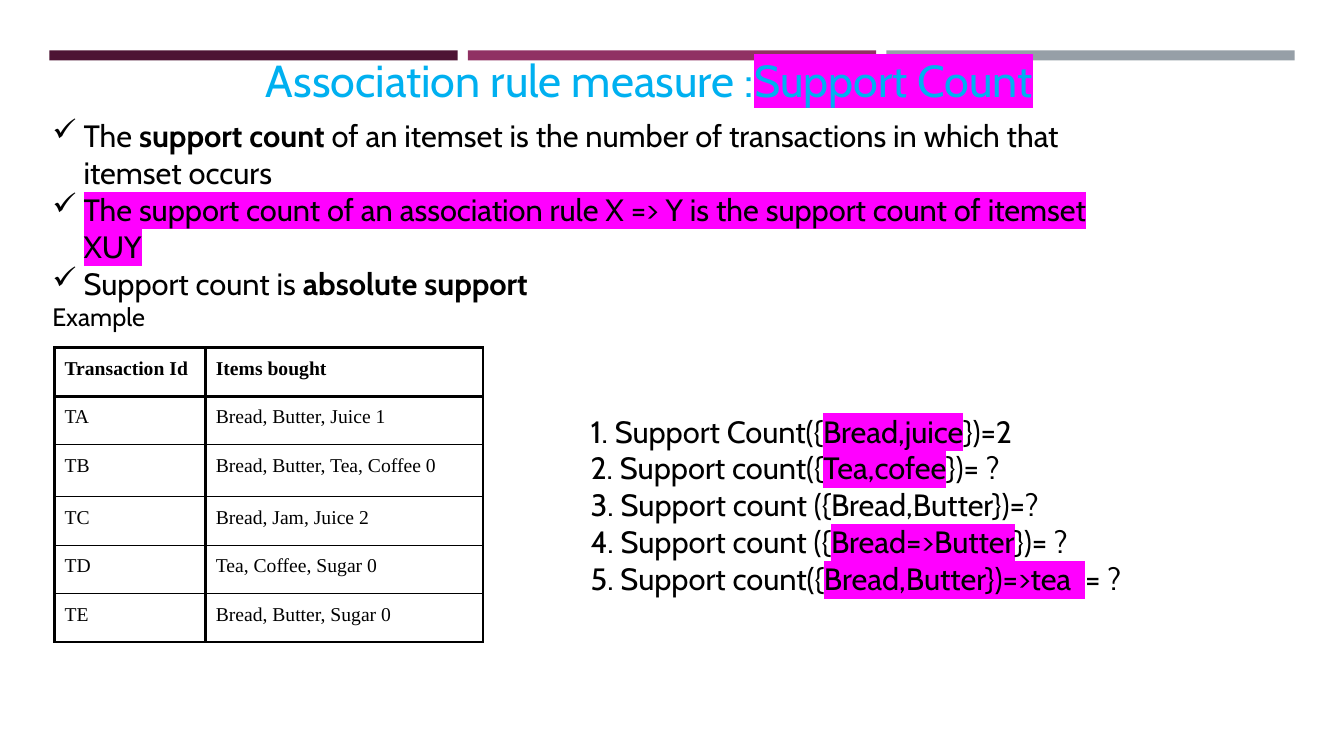
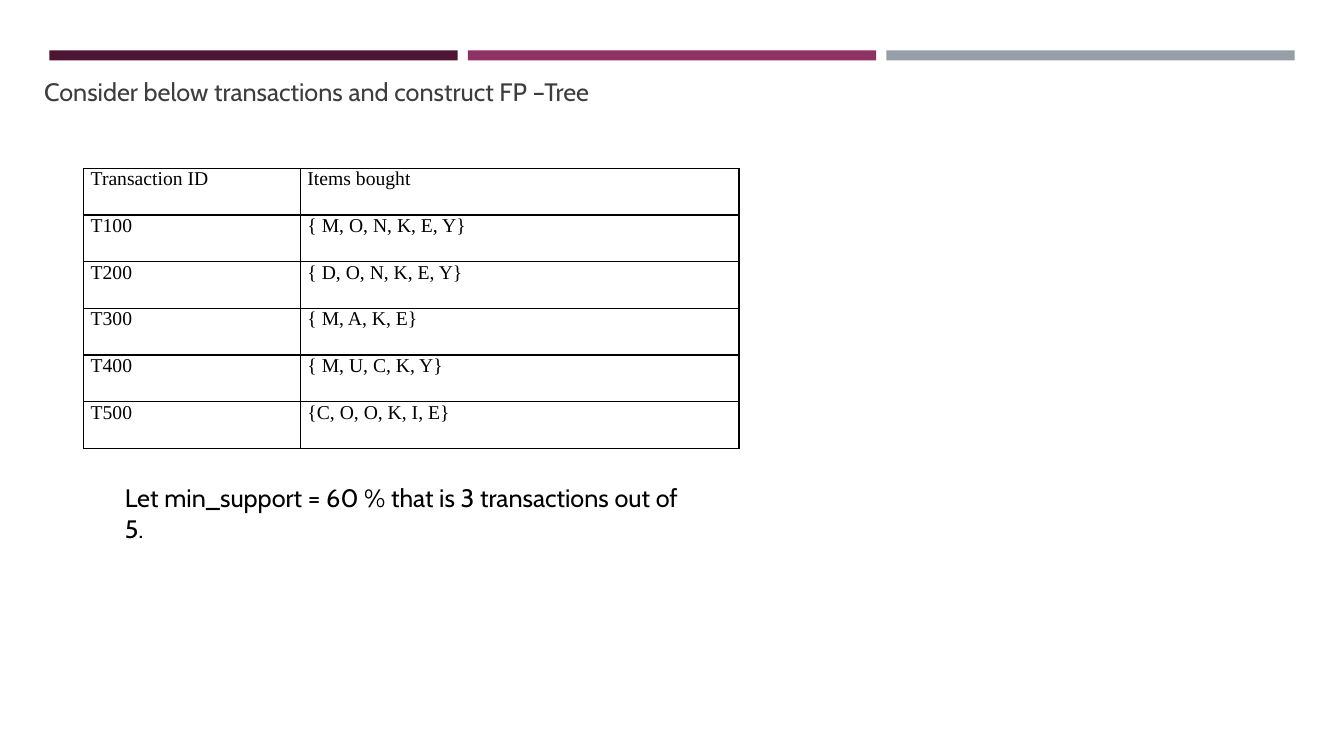
from dataclasses import dataclass

from lxml import etree
from pptx import Presentation
from pptx import util as u
from pptx.dml.color import RGBColor
from pptx.enum import shapes, text
from pptx.oxml import ns


@dataclass(frozen=True)
class Theme:
    bars: tuple = ("4D1434", "903163", "969FA7")
    ink: str = "000000"
    grey: str = "3D3D3D"
    blue: str = "00B0F0"
    mark: str = "FF00FF"
    sans: str = "Cabin"
    serif: str = "Times New Roman"
    title: int = 32
    body: int = 22
    note: int = 18
    cell: int = 14
    thick: float = 2.25
    thin: float = 1


T = Theme()


def rgb(code):
    return RGBColor.from_string(code)


def sub(root, tag, **attrs):
    return etree.SubElement(root, ns.qn(tag), **attrs)


def style(para, size, color=T.ink, face=T.sans, bold=None):
    font = para.font
    font.size, font.name, font.bold = u.Pt(size), face, bold
    font.color.rgb = rgb(color)


def add_runs(para, parts):
    """Parts are plain strings or (string, "bold" | "mark") pairs."""
    for part in parts:
        words, kind = (part, "") if isinstance(part, str) else part
        run = para.add_run()
        run.text = words
        if kind == "bold":
            run.font.bold = True
        elif kind == "mark":
            light = sub(run._r.get_or_add_rPr(), "a:highlight")
            sub(light, "a:srgbClr", val=T.mark)


def add_check(para):
    props = para._p.get_or_add_pPr()
    props.set("marL", str(u.Inches(0.31)))
    props.set("indent", str(-u.Inches(0.31)))
    sub(props, "a:buChar", char="✓")


def add_text(slide, box, lines, size, color=T.ink, checks=0, last=None):
    """Write lines in a box; the first few get check marks."""
    frame = slide.shapes.add_textbox(*map(u.Inches, box)).text_frame
    frame.word_wrap = True
    frame.vertical_anchor = text.MSO_ANCHOR.TOP
    for i, parts in enumerate(lines):
        para = frame.add_paragraph() if i else frame.paragraphs[0]
        add_runs(para, parts)
        if i < checks:
            add_check(para)
        end = last and i == len(lines) - 1
        style(para, last if end else size, color)


def add_bars(slide, box, gap=0.1):
    """Three equal bars across the top of the box."""
    x, y, w, h = box
    wide = (w - gap * (len(T.bars) - 1)) / len(T.bars)
    for i, color in enumerate(T.bars):
        bar = slide.shapes.add_shape(
            shapes.MSO_SHAPE.RECTANGLE, u.Inches(x + i * (wide + gap)),
            u.Inches(y), u.Inches(wide), u.Inches(h))
        bar.shadow.inherit = False
        bar.fill.solid()
        bar.fill.fore_color.rgb = rgb(color)
        bar.line.fill.background()


def add_edges(cell, widths):
    """Draw left, right, top and bottom borders, in points."""
    props = cell._tc.get_or_add_tcPr()
    for i, (side, width) in enumerate(zip("LRTB", widths)):
        line = etree.Element(ns.qn("a:ln" + side), w=str(u.Pt(width)))
        sub(sub(line, "a:solidFill"), "a:srgbClr", val=T.ink)
        props.insert(i, line)


def add_grid(slide, spot, cols, highs, rows, pads, rim, head=False):
    """Table at a spot; rim is the width of outer and column lines."""
    box = (*spot, sum(cols), sum(highs))
    grid = slide.shapes.add_table(
        len(rows), len(cols), *map(u.Inches, box)).table
    grid.first_row = grid.horz_banding = False
    for col, wide in zip(grid.columns, cols):
        col.width = u.Inches(wide)
    for r, row in enumerate(rows):
        grid.rows[r].height = u.Inches(highs[r])
        top = rim if r < 2 else T.thin
        low = rim if r in (0, len(rows) - 1) else T.thin
        for c, words in enumerate(row):
            cell = grid.cell(r, c)
            (cell.margin_left, cell.margin_top, cell.margin_right,
             cell.margin_bottom) = map(u.Inches, pads)
            cell.fill.background()
            add_edges(cell, (rim, rim, top, low))
            para = cell.text_frame.paragraphs[0]
            add_runs(para, [words])
            style(para, T.cell, face=T.serif, bold=head and r == 0)


def new_slide(deck):
    slide = deck.slides.add_slide(deck.slide_layouts[6])
    add_bars(slide, (0.49, 0.5, 12.35, 0.1))
    return slide


def support(deck):
    slide = new_slide(deck)
    # Title
    add_text(slide, (2.54, 0.47, 8, 0.64),
             [["Association rule measure :", ("Support Count", "mark")]],
             T.title, T.blue)
    # Definitions
    add_text(slide, (0.42, 1.11, 11.09, 2.86), [
        ["The ", ("support count", "bold"), " of an itemset is the number "
         "of transactions in which that itemset occurs"],
        [("The support count of an association rule X => Y is the support "
          "count of itemset XUY", "mark")],
        ["Support count is ", ("absolute support", "bold")],
        ["Example"],
    ], T.body, checks=3, last=T.note)
    # Transactions
    add_grid(slide, (0.54, 3.45), (1.5, 2.75),
             (0.48, 0.48, 0.52, 0.48, 0.48, 0.48), [
                 ("Transaction Id", "Items bought"),
                 ("TA", "Bread, Butter, Juice 1"),
                 ("TB", "Bread, Butter, Tea, Coffee 0"),
                 ("TC", "Bread, Jam, Juice 2"),
                 ("TD", "Tea, Coffee, Sugar 0"),
                 ("TE", "Bread, Butter, Sugar 0"),
             ], (0.1, 0.1, 0.1, 0.05), T.thick, head=True)
    # Questions
    add_text(slide, (5.76, 4.04, 5.62, 2.29), [
        ["1. Support Count({", ("Bread,juice", "mark"), "})=2"],
        ["2. Support count({", ("Tea,cofee", "mark"), "})= ?"],
        ["3. Support count ({Bread,Butter})=?"],
        ["4. Support count ({", ("Bread=>Butter", "mark"), "})= ?"],
        ["5. Support count({", ("Bread,Butter})=>tea  ", "mark"), "= ?"],
    ], T.body)


def tree(deck):
    slide = new_slide(deck)
    # Task
    add_text(slide, (0.34, 0.71, 9.57, 0.5),
             [["Consider below transactions and construct FP –Tree"]],
             T.note, T.grey)
    # Transactions
    add_grid(slide, (0.83, 1.67), (2.15, 4.35), [2.78 / 6] * 6, [
        ("Transaction ID", "Items bought"),
        ("T100", "{ M, O, N, K, E, Y}"),
        ("T200", "{ D, O, N, K, E, Y}"),
        ("T300", "{ M, A, K, E}"),
        ("T400", "{ M, U, C, K, Y}"),
        ("T500", "{C, O, O, K, I, E}"),
    ], (0.07, 0, 0.07, 0), T.thin)
    # Threshold
    add_text(slide, (1.14, 4.74, 5.88, 0.7),
             [["Let min_support = 60 % that is 3 transactions out of 5."]],
             T.note)


def main():
    deck = Presentation()
    deck.slide_width, deck.slide_height = u.Inches(13.33), u.Inches(7.5)
    support(deck)
    tree(deck)
    deck.save("out.pptx")


if __name__ == "__main__":
    main()
